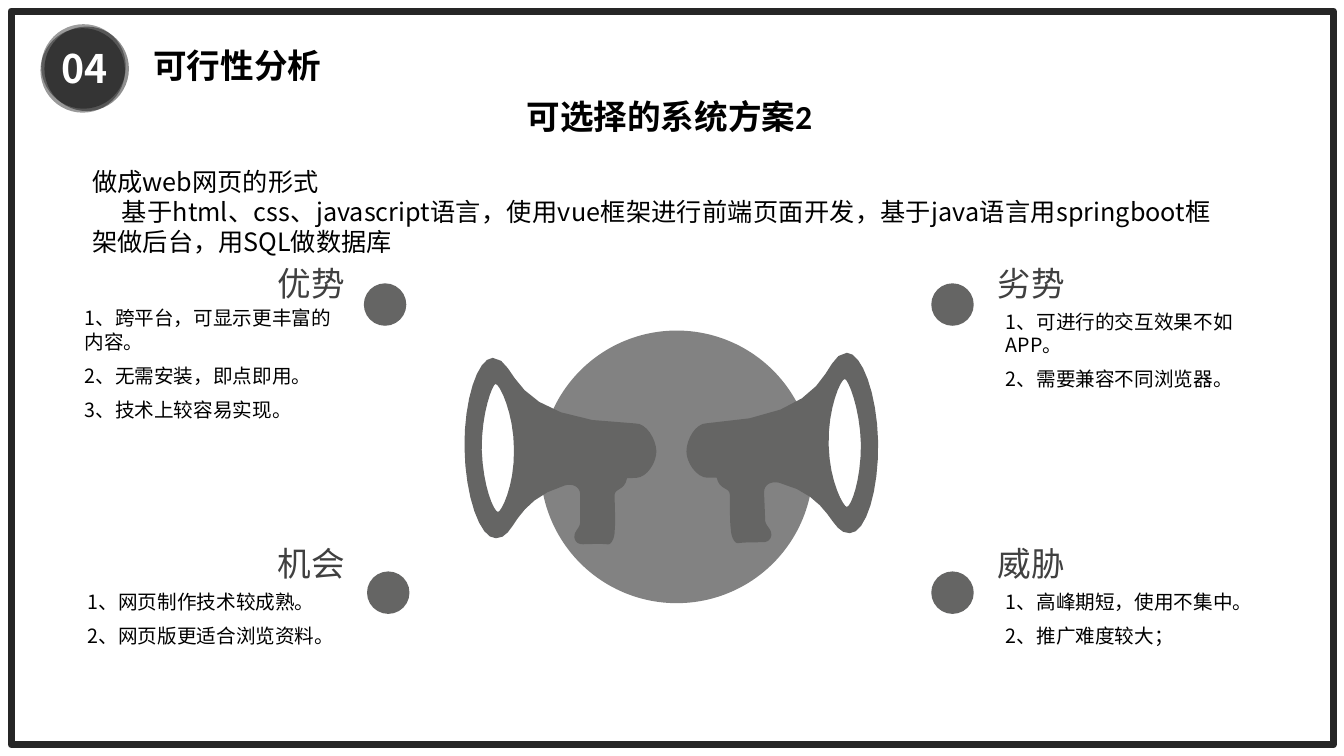
from lxml import etree
from pptx import Presentation
from pptx.dml.color import RGBColor
from pptx.enum.shapes import MSO_SHAPE
from pptx.enum.text import MSO_ANCHOR, PP_ALIGN
from pptx.oxml.ns import qn
from pptx.util import Cm, Pt

OVAL, RECTANGLE = MSO_SHAPE.OVAL, MSO_SHAPE.RECTANGLE
LEFT, CENTER, RIGHT, JUSTIFY = PP_ALIGN.LEFT, PP_ALIGN.CENTER, PP_ALIGN.RIGHT, PP_ALIGN.JUSTIFY
TOP = MSO_ANCHOR.TOP
COLORS = {"frame": "262626", "text": "000000", "heading": "404040", "badge": "000000",
          "white": "FFFFFF", "horn": "656564", "disc": "828282"}
SANS, LATIN = "Noto Sans CJK SC", "Calibri"
CURVE_STEPS = 8
HORN_SIZE = (190, 189)
HORN_OUTLINE = [
    (190, 88),
    (189, 41), (174, 0), (159, 0), (132, 2), (151, 63), (20, 70),
    (9, 70), (0, 86), (0, 98), (0, 109), (10, 124), (21, 124),
    (23, 124), (30, 124), (30, 124), (33, 137), (43, 133), (43, 141),
    (43, 149), (43, 169), (44, 175), (44, 181), (47, 189), (51, 189),
    (56, 188), (70, 188), (76, 188), (82, 188), (85, 183), (84, 179),
    (84, 175), (78, 171), (78, 166), (78, 160), (77, 143), (77, 138),
    (77, 131), (84, 127), (92, 129), (145, 143), (142, 180), (162, 179),
    (178, 179), (191, 136), (190, 88),
]
HORN_OPENING = [
    (159, 153),
    (156, 153), (142, 129), (141, 92), (140, 55), (153, 26), (157, 26),
    (160, 26), (172, 54), (173, 91), (173, 127), (163, 153), (159, 153),
]
QUADRANTS = [
    ("优势", ["1、跨平台，可显示更丰富的内容。", "2、无需安装，即点即用。", "3、技术上较容易实现。"],
     dict(top=6.5, heading_left=3.15, list_left=2.13, list_drop=1.22,
          icon_left=9.17, icon_drop=0.64, align=RIGHT)),
    ("机会", ["1、网页制作技术较成熟。", "2、网页版更适合浏览资料。"],
     dict(top=13.56, heading_left=3.15, list_left=2.21, list_drop=1.3,
          icon_left=9.25, icon_drop=0.84, align=RIGHT)),
    ("劣势", ["1、可进行的交互效果不如APP。", "2、需要兼容不同浏览器。"],
     dict(top=6.5, heading_left=24.89, list_left=25.35, list_drop=1.3,
          icon_left=23.47, icon_drop=0.64, align=LEFT)),
    ("威胁", ["1、高峰期短，使用不集中。", "2、推广难度较大；"],
     dict(top=13.56, heading_left=24.89, list_left=25.35, list_drop=1.3,
          icon_left=23.47, icon_drop=0.84, align=LEFT)),
]


def color(name):
    return RGBColor.from_string(COLORS[name])


def place(shape, left, top, width, height):
    shape.left, shape.top, shape.width, shape.height = map(Cm, (left, top, width, height))


def write_text(shape, lines, size, font=SANS, ink="text", bold=False, align=LEFT,
               space_before=0, inset=None, wrap=True):
    frame = shape.text_frame
    frame.word_wrap = wrap
    frame.vertical_anchor = TOP
    if inset is not None:
        frame.margin_left = frame.margin_top = frame.margin_right = frame.margin_bottom = Cm(inset)
    for index, line in enumerate(lines):
        para = frame.add_paragraph() if index else frame.paragraphs[0]
        para.alignment = align
        para.space_before = Pt(space_before)
        para.line_spacing = 1.0
        span = para.add_run()
        span.text = line
        span.font.name, span.font.size, span.font.bold = font, Pt(size), bold
        span.font.color.rgb = color(ink)
        east_asian = etree.SubElement(span.font._element, qn("a:ea"))
        east_asian.set("typeface", SANS)
    return frame


def add_text(page, box, lines, **style):
    shape = page.shapes.add_textbox(*map(Cm, box))
    return write_text(shape, lines, **style)


def paint(shape, fill, alpha=None):
    shape.shadow.inherit = False
    shape.line.fill.background()
    shape.fill.solid()
    shape.fill.fore_color.rgb = color(fill)
    if alpha is not None:
        tint = shape._element.spPr.find(qn("a:solidFill"))[0]
        etree.SubElement(tint, qn("a:alpha")).set("val", str(alpha * 1000))


def add_circle(page, left, top, size, fill, alpha=None):
    circle = page.shapes.add_shape(OVAL, Cm(left), Cm(top), Cm(size), Cm(size))
    paint(circle, fill, alpha)


def flatten(points):
    result = [points[0]]
    for index in range(0, len(points) - 1, 3):
        a, b, c, d = points[index:index + 4]
        for step in range(1, CURVE_STEPS + 1):
            t = step / CURVE_STEPS
            u = 1 - t
            result.append(tuple(
                u ** 3 * a[axis] + 3 * u * u * t * b[axis] + 3 * u * t * t * c[axis] + t ** 3 * d[axis]
                for axis in (0, 1)))
    return result


def add_horn(page, left, top, width, height, mirrored=False, rotation=0):
    def locate(point):
        across = point[0] / HORN_SIZE[0]
        if mirrored:
            across = 1 - across
        return Cm(left + across * width), Cm(top + point[1] / HORN_SIZE[1] * height)

    outline, opening = ([locate(point) for point in flatten(points)]
                        for points in (HORN_OUTLINE, HORN_OPENING))
    builder = page.shapes.build_freeform(*outline[0])
    builder.add_line_segments(outline[1:])
    builder.move_to(*opening[0])
    builder.add_line_segments(opening[1:])
    horn = builder.convert_to_shape()
    paint(horn, "horn")
    horn.rotation = rotation


def add_frame(page, left, top, width, height):
    border = page.shapes.add_shape(RECTANGLE, Cm(left), Cm(top), Cm(width), Cm(height))
    border.shadow.inherit = False
    border.fill.background()
    border.line.color.rgb = color("frame")
    border.line.width = Pt(5)


def add_header(page, left, top):
    for shift, drop, alpha in ((0.02, 0, 39), (0.1, 0.06, 44), (0, 0.1, 40)):
        add_circle(page, left + shift, top + drop, 2.13, "badge", alpha)
    add_text(page, (left - 0.33, top + 0.39, 2.87, 1.45), ["04"],
             size=28, ink="white", bold=True, align=CENTER)
    title = page.shapes.title
    place(title, left + 2.56, top + 0.39, 4.8, 1.27)
    write_text(title, ["可行性分析"], size=24, bold=True, align=CENTER, wrap=False)


def add_introduction(page, left, top, width):
    add_text(page, (left + 6.33, top, 16.92, 1.27), ["可选择的系统方案2"],
             size=24, font=LATIN, bold=True, align=CENTER)
    frame = add_text(page, (left, top + 1.77, width, 3.33),
                     ["做成web网页的形式",
                      "基于html、css、javascript语言，使用vue框架进行前端页面开发，"
                      "基于java语言用springboot框架做后台，用SQL做数据库"], size=18)
    detail = frame.paragraphs[1]
    detail.alignment = JUSTIFY
    detail._p.get_or_add_pPr().set("indent", str(Cm(0.74)))


def add_centerpiece(page, left, top):
    add_circle(page, left + 1.91, top, 6.87, "disc")
    add_horn(page, left + 5.59, top + 0.56, 4.83, 4.8)
    add_horn(page, left, top + 0.63, 4.83, 4.8, mirrored=True, rotation=-2)


def add_quadrant(page, heading, lines, top, heading_left, list_left, list_drop,
                 icon_left, icon_drop, align):
    add_circle(page, icon_left, top + icon_drop, 1.07, "horn")
    add_text(page, (heading_left, top, 5.79, 1.27), [heading],
             size=24, ink="heading", align=align)
    add_text(page, (list_left, top + list_drop, 6.63, 1.2 * len(lines)), lines,
             size=14, space_before=7.5, inset=0)


def main():
    deck = Presentation()
    deck.slide_width, deck.slide_height = Cm(33.87), Cm(19.05)
    page = deck.slides.add_slide(deck.slide_layouts[5])
    add_frame(page, 0.28, 0.28, 33.32, 18.49)
    add_header(page, 1.02, 0.61)
    add_introduction(page, 2.08, 2.29, 28.68)
    add_centerpiece(page, 11.71, 8.33)
    for heading, lines, layout in QUADRANTS:
        add_quadrant(page, heading, lines, **layout)
    deck.save("out.pptx")


if __name__ == "__main__":
    main()
